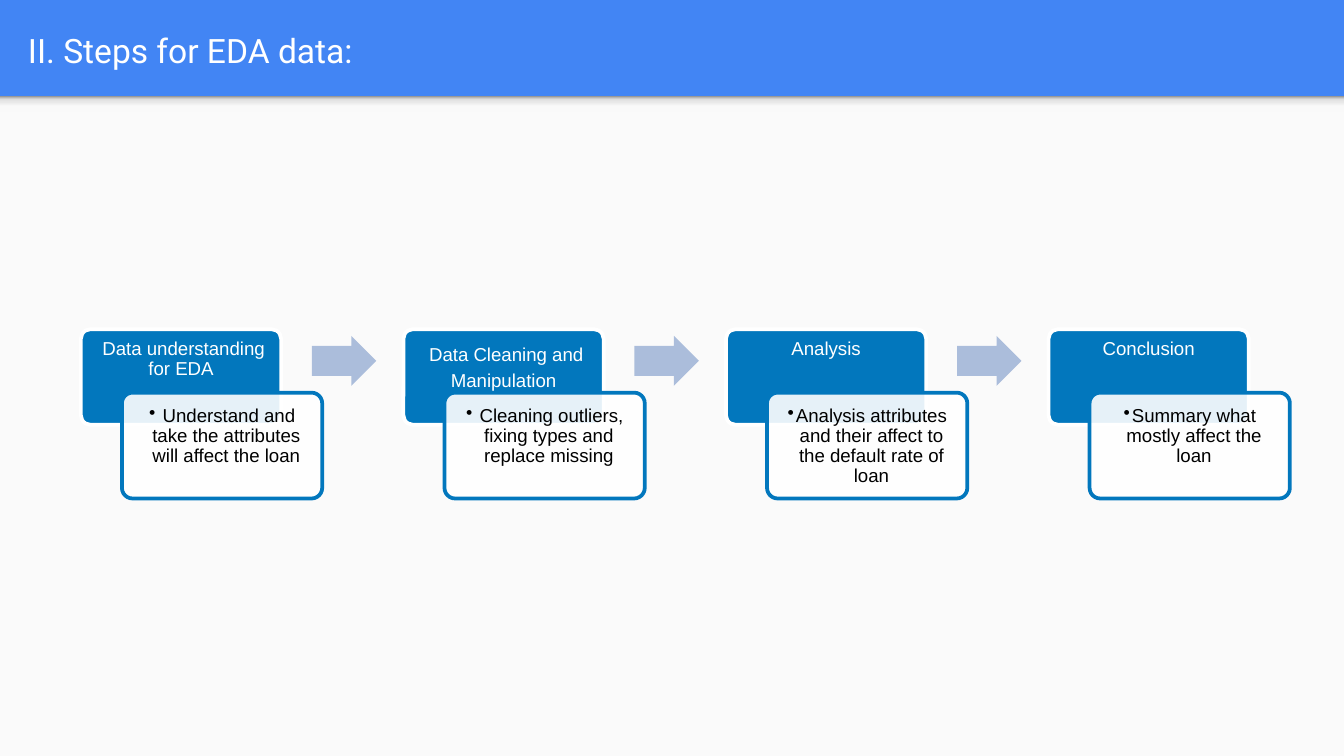
from lxml.etree import SubElement
from pptx import Presentation
from pptx.dml.color import RGBColor
from pptx.enum.shapes import MSO_SHAPE
from pptx.enum.text import MSO_ANCHOR
from pptx.oxml.ns import qn
from pptx.util import Pt

COLORS = {
    "header": "4285F4", "body": "FAFAFA", "step": "0277BD", "arrow": "ABBDDB",
    "white": "FFFFFF", "black": "000000",
}
SHADOW_STOPS = [(0, "F9F9F9"), (36, "F9F9F9"), (80, "DEDEDE"), (100, "999999")]
STEPS = [
    (" Data understanding for EDA", 0.9,
     " Understand and take the attributes will affect the loan"),
    (" Data Cleaning and Manipulation", 1.15,
     " Cleaning outliers, fixing types and replace missing"),
    ("Analysis", 0.9,
     "Analysis attributes and their affect to the default rate of loan"),
    ("Conclusion", 0.9, "Summary what mostly affect the loan"),
]
STEP_PITCH = 172.8


def rgb(name):
    return RGBColor.from_string(COLORS[name])


def add_box(page, kind, box, fill, line=None):
    shape = page.shapes.add_shape(kind, *(Pt(value) for value in box))
    shape.shadow.inherit = False
    shape.fill.solid()
    shape.fill.fore_color.rgb = rgb(fill)
    if line:
        shape.line.color.rgb = rgb(line)
        shape.line.width = Pt(2)
    else:
        shape.line.fill.background()
    return shape


def write(shape, text, font, size, color, spacing, insets, anchor):
    frame = shape.text_frame
    frame.word_wrap = True
    frame.vertical_anchor = anchor
    (frame.margin_left, frame.margin_top,
     frame.margin_right, frame.margin_bottom) = (Pt(value) for value in insets)
    para = frame.paragraphs[0]
    para.text = text
    para.line_spacing = spacing
    para.font.name = font
    para.font.size = Pt(size)
    para.font.color.rgb = rgb(color)
    return para


def add_bullet(para, indent):
    props = para._p.get_or_add_pPr()
    props.set("marL", str(Pt(indent)))
    props.set("indent", str(-Pt(indent)))
    bullet = props.makeelement(qn("a:buChar"), {"char": "•"})
    props.insert_element_before(bullet, "a:tabLst", "a:defRPr", "a:extLst")


def set_opacity(shape, percent):
    color = shape._element.spPr.find(qn("a:solidFill"))[0]
    SubElement(color, qn("a:alpha"), val=str(percent * 1000))


def add_header(page, left, top, width, height):
    # Light body below the blue band
    add_box(page, MSO_SHAPE.RECTANGLE, (left, top + height, width, 405 - height), "body")

    # Soft shadow under the band
    shadow = add_box(page, MSO_SHAPE.RECTANGLE, (left, top + height, width, 8.6), "body")
    shadow.fill.gradient()
    shadow.fill.gradient_angle = 90
    stops = shadow._element.spPr.find(qn("a:gradFill")).find(qn("a:gsLst"))
    for stop in list(stops):
        stops.remove(stop)
    for position, color in SHADOW_STOPS:
        stop = SubElement(stops, qn("a:gs"), pos=str(position * 1000))
        SubElement(stop, qn("a:srgbClr"), val=color)

    # Title
    title = page.shapes.add_textbox(Pt(left + 7.9), Pt(top + 1.5), Pt(width - 25), Pt(47.5))
    write(title, "II. Steps for EDA data:", "Roboto", 18, "white", 1.15,
          (7.2,) * 4, MSO_ANCHOR.MIDDLE)


def add_step(page, left, top, label, spacing, detail):
    # Blue label card
    card = add_box(page, MSO_SHAPE.ROUNDED_RECTANGLE, (left, top, 107.3, 51.2), "step", "white")
    card.adjustments[0] = 0.1
    write(card, label, "Arial", 10, "white", spacing, (4.1, 4.1, 4.1, 2.6), MSO_ANCHOR.TOP)

    # Overlapping detail card
    note = add_box(page, MSO_SHAPE.ROUNDED_RECTANGLE,
                   (left + 22, top + 34, 107.3, 56.7), "white", "step")
    note.adjustments[0] = 0.1
    set_opacity(note, 90)
    para = write(note, detail, "Arial", 10, "black", 0.9, (5.6,) * 4, MSO_ANCHOR.TOP)
    add_bullet(para, 4.5)


def add_arrow(page, left, top):
    arrow = add_box(page, MSO_SHAPE.RIGHT_ARROW, (left, top, 34.5, 26.7), "arrow")
    arrow.adjustments[0] = 0.6
    arrow.adjustments[1] = 0.5


def add_process(page, left, top):
    for index, step in enumerate(STEPS):
        step_left = left + index * STEP_PITCH
        add_step(page, step_left, top, *step)
        if index < len(STEPS) - 1:
            add_arrow(page, step_left + 123.8, top + 3.6)


def main():
    deck = Presentation()
    deck.slide_width, deck.slide_height = Pt(720), Pt(405)
    page = deck.slides.add_slide(deck.slide_layouts[6])
    page.background.fill.solid()
    page.background.fill.fore_color.rgb = rgb("header")
    add_header(page, 0, 0, 720, 51.5)
    add_process(page, 43.3, 176.4)
    deck.save("out.pptx")


if __name__ == "__main__":
    main()
